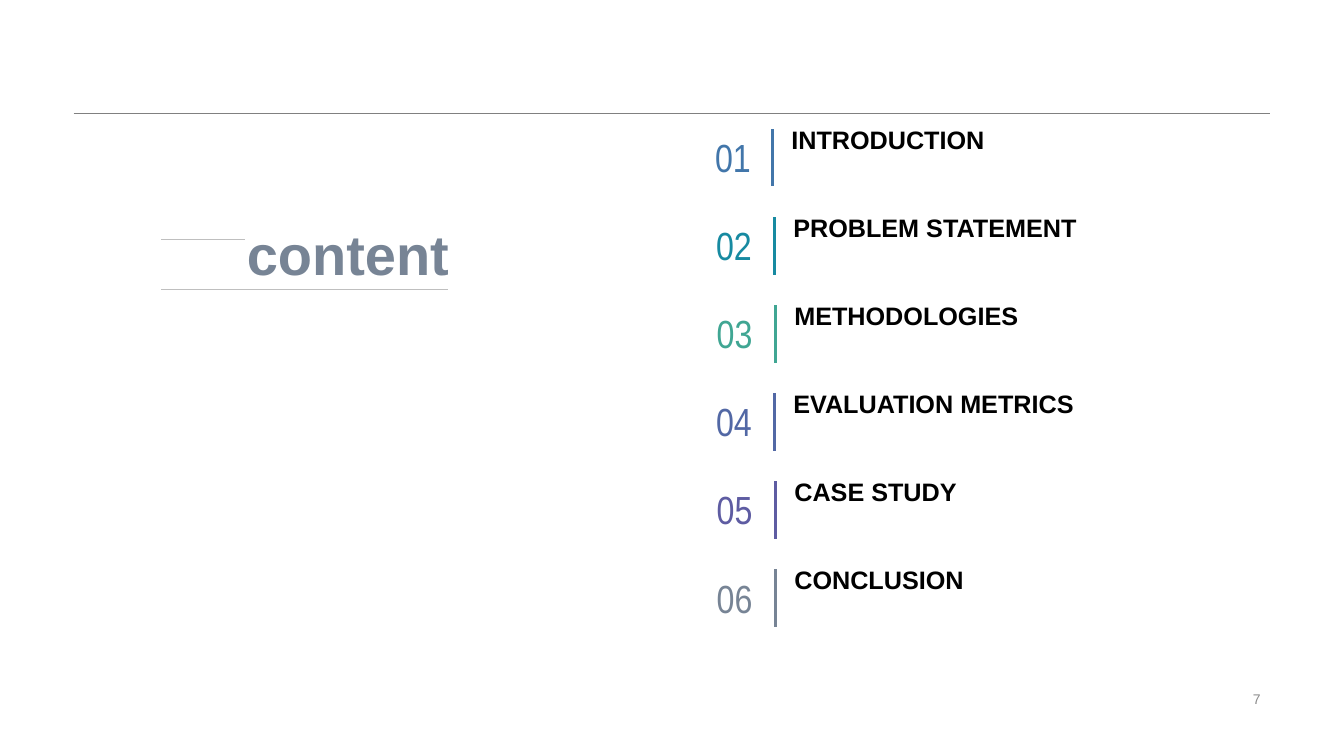
from lxml import etree
from pptx import Presentation
from pptx import util as u
from pptx.dml.color import RGBColor
from pptx.enum import shapes, text
from pptx.oxml.ns import qn

Inches = u.Inches

# Number, topic, colour, divider offset from the left of the agenda
TOPICS = [
    ("01", "INTRODUCTION", "4276AA", 0.65),
    ("02", "PROBLEM STATEMENT", "178AA1", 0.67),
    ("03", "METHODOLOGIES", "40A693", 0.68),
    ("04", "EVALUATION METRICS", "5268A5", 0.67),
    ("05", "CASE STUDY", "5E5CA2", 0.68),
    ("06", "CONCLUSION", "778495", 0.68),
]
NUMBER = {"size": u.Pt(28), "name": "Arial Narrow", "bold": False}
TOPIC = {"size": u.Pt(18), "name": "Arial", "bold": True}
HEADING = {"size": u.Pt(40), "name": "Arial", "bold": True}
FOOTER = {"size": u.Pt(10), "name": "Arial", "bold": False}


def color(value):
    return RGBColor.from_string(value)


def add_line(page, start, end, hue, weight):
    line = page.shapes.add_connector(
        shapes.MSO_CONNECTOR.STRAIGHT, *map(Inches, start + end))
    line.line.color.rgb = color(hue)
    line.line.width = u.Pt(weight)
    etree.SubElement(line._element.spPr, qn("a:effectLst"))


def add_text(page, place, words, font, hue, align="LEFT", anchor="MIDDLE",
             insets=(0, 0), spacing=1.0, wrap=False):
    box = page.shapes.add_textbox(*map(Inches, place))
    frame = box.text_frame
    side, edge = map(Inches, insets)
    layout = {"margin_left": side, "margin_right": side,
              "margin_top": edge, "margin_bottom": edge,
              "word_wrap": wrap,
              "vertical_anchor": getattr(text.MSO_ANCHOR, anchor)}
    for name, value in layout.items():
        setattr(frame, name, value)
    para = frame.paragraphs[0]
    para.alignment = getattr(text.PP_ALIGN, align)
    para.line_spacing = spacing
    span = para.add_run()
    span.text = words
    for name, value in font.items():
        setattr(span.font, name, value)
    span.font.color.rgb = color(hue)


def add_frame(page, left, top, width, height):
    # Rule across the top, page number at the bottom right
    right = left + width
    add_line(page, (left, top), (right, top), "808080", 0.25)
    add_text(page, (right - 3.18, top + height - 0.23, 3.18, 0.23), "7",
             FOOTER, "8C8C8C", align="RIGHT", insets=(0.1, 0), wrap=True)


def add_heading(page, left, top, width, height):
    # Short rule beside the word, full rule beneath it
    bottom = top + height
    add_line(page, (left + 0.83, top), (left, top), "BFBFBF", 0.5)
    add_line(page, (left, bottom), (left + width, bottom), "BFBFBF", 0.5)
    add_text(page, (left + 0.75, top - 0.18, width - 0.44, 0.72), "content",
             HEADING, "778495", insets=(0.1, 0.05), spacing=0.9)


def add_agenda(page, left, top, width, height):
    # Equal rows of number, coloured divider and topic
    pitch = height / len(TOPICS)
    for row, (number, topic, hue, offset) in enumerate(TOPICS):
        y = top + row * pitch
        divider = left + offset
        add_text(page, (left, y + 0.11, offset - 0.13, 0.5), number,
                 NUMBER, hue, align="CENTER")
        add_line(page, (divider, y + 0.08), (divider, y + 0.65), hue, 2.25)
        add_text(page, (divider + 0.09, y, width - offset - 0.09, 0.38),
                 topic, TOPIC, "000000", anchor="BOTTOM", insets=(0.1, 0.05),
                 spacing=0.8)


def main():
    deck = Presentation()
    deck.slide_width, deck.slide_height = Inches(13.33), Inches(7.5)
    page = deck.slides.add_slide(deck.slide_layouts[6])
    add_frame(page, 0.73, 1.12, 11.87, 5.93)
    add_heading(page, 1.6, 2.37, 2.84, 0.5)
    add_agenda(page, 7.01, 1.2, 4.72, 5.24)
    deck.save("out.pptx")


if __name__ == "__main__":
    main()
